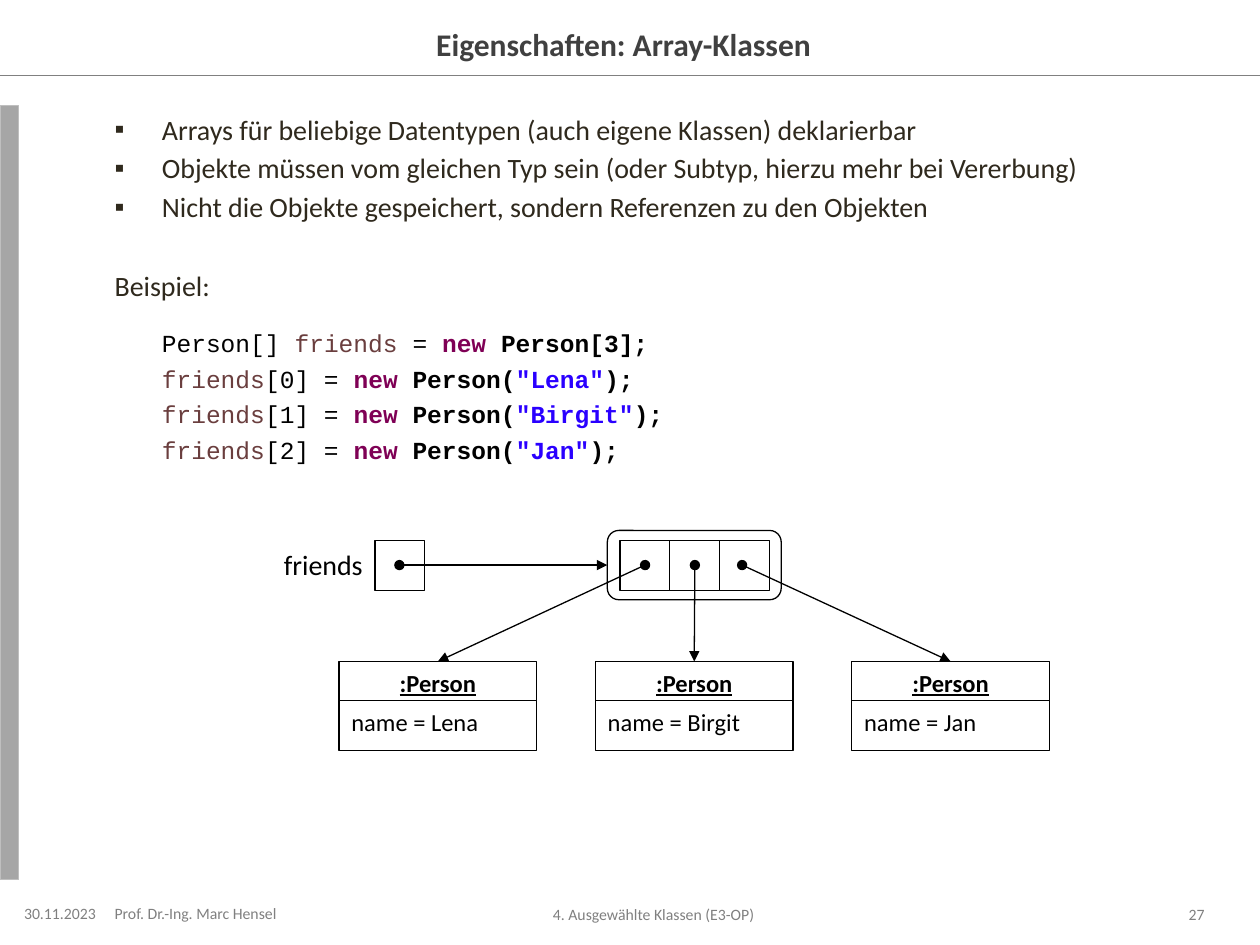
"""Build the slide on arrays of objects with a reference diagram."""
import dataclasses
import typing

import lxml.etree
import pptx
import pptx.dml.color
import pptx.enum.shapes
import pptx.enum.text
import pptx.oxml
import pptx.oxml.ns
import pptx.util

COLUMNS = 100
BLACK, WHITE, GREY = "000000", "FFFFFF", "808080"
VARIABLE, KEYWORD, STRING = "6A3E3E", "7F0055", "2A00FF"
SHAPES = pptx.enum.shapes.MSO_SHAPE
ALIGN = pptx.enum.text.PP_ALIGN
ANCHOR = pptx.enum.text.MSO_ANCHOR

presentation = pptx.Presentation()
presentation.slide_width = pptx.util.Inches(10)
presentation.slide_height = pptx.util.Inches(7.5)
slide = presentation.slides.add_slide(presentation.slide_layouts[1])


class Box(typing.NamedTuple):
    left: float
    top: float
    width: float
    height: float


class Token(typing.NamedTuple):
    text: str
    color: str = BLACK
    bold: bool = False
    underline: bool = False


@dataclasses.dataclass
class Style:
    size: float
    font: str = "Calibri"
    align: typing.Any = ALIGN.LEFT
    margin: float = 0
    hanging: float = 0
    before: float = 0


@dataclasses.dataclass
class Footer:
    text: str
    box: Box
    align: typing.Any
    margin_left: float = 0
    margin_right: float = 1


def grid(cells: float) -> int:
    """Convert grid cells, equal in both directions, to a length."""
    return round(presentation.slide_width * cells / COLUMNS)


def rgb(color: str):
    """Return the colour of a hex string."""
    return pptx.dml.color.RGBColor.from_string(color)


def apply(target, values: dict) -> None:
    """Set every attribute in a dict of format values."""
    for name, value in values.items():
        setattr(target, name, value)


def place(shape, box: Box) -> None:
    """Move a shape to a box on the grid."""
    apply(shape, {name: grid(cells) for name, cells in box._asdict().items()})


def set_frame(frame, anchor=ANCHOR.TOP, left: float = 0, right: float = 1) -> None:
    """Set wrapping, anchor and insets of a text frame."""
    apply(frame, {
        "auto_size": pptx.enum.text.MSO_AUTO_SIZE.NONE, "word_wrap": True, "vertical_anchor": anchor,
        "margin_left": grid(left), "margin_right": grid(right),
        "margin_top": grid(0.5), "margin_bottom": grid(0.5),
    })


def write(paragraph, tokens: list[Token], style: Style) -> None:
    """Fill a paragraph with formatted tokens, bulleted if it hangs."""
    apply(paragraph, {"alignment": style.align, "space_before": pptx.util.Pt(style.before)})
    properties = paragraph._p.get_or_add_pPr()
    properties.set("marL", str(grid(style.margin)))
    properties.set("indent", str(-grid(style.hanging)))
    if style.hanging:
        bullet = lxml.etree.SubElement(properties, pptx.oxml.ns.qn("a:buChar"))
        bullet.set("char", "▪")
    else:
        lxml.etree.SubElement(properties, pptx.oxml.ns.qn("a:buNone"))
    for token in tokens:
        run = paragraph.add_run()
        run.text = token.text
        apply(run.font, {"name": style.font, "size": pptx.util.Pt(style.size),
                         "bold": token.bold, "underline": token.underline})
        run.font.color.rgb = rgb(token.color)


def add_shape(kind, box: Box, fill: str | None = WHITE, line: str | None = BLACK):
    """Add a flat preset shape."""
    shape = slide.shapes.add_shape(kind, 0, 0, 0, 0)
    place(shape, box)
    shape.shadow.inherit = False
    if fill:
        shape.fill.solid()
        shape.fill.fore_color.rgb = rgb(fill)
    else:
        shape.fill.background()
    if line:
        shape.line.color.rgb = rgb(line)
        shape.line.width = pptx.util.Pt(0.75)
    else:
        shape.line.fill.background()
    return shape


def add_label(kind, box: Box, token: Token, style: Style, line: str | None = BLACK):
    """Add a shape with one line of text at its top."""
    shape = add_shape(kind, box, line=line)
    set_frame(shape.text_frame, left=1)
    write(shape.text_frame.paragraphs[0], [token], style)
    return shape


def add_line(start: tuple[float, float], end: tuple[float, float], color: str = BLACK):
    """Add a straight connector without shadow."""
    connector = slide.shapes.add_connector(
        pptx.enum.shapes.MSO_CONNECTOR.STRAIGHT, *map(grid, start + end))
    connector.line.color.rgb = rgb(color)
    connector.line.width = pptx.util.Pt(0.75)
    lxml.etree.SubElement(connector._element.spPr, pptx.oxml.ns.qn("a:effectLst"))
    return connector


def add_reference(start: tuple[float, float], target, site: int) -> None:
    """Draw a reference arrow from a dot to a connection site."""
    connector = add_line(start, start)
    connector.end_connect(target, site)
    line = connector.line._get_or_add_ln()
    for end, kind in (("a:headEnd", "oval"), ("a:tailEnd", "triangle")):
        lxml.etree.SubElement(line, pptx.oxml.ns.qn(end)).set("type", kind)


def assignment(index: int, name: str) -> list[Token]:
    """Return the code line that stores a new person."""
    return [Token("friends", VARIABLE), Token(f"[{index}] = "), Token("new", KEYWORD, True),
            Token(" Person(", bold=True), Token(f'"{name}"', STRING, True), Token(");", bold=True)]


def add_text(names: list[str]) -> None:
    """Fill the title and body placeholders."""
    title, body = slide.shapes.title, slide.placeholders[1]
    place(title, Box(12.4, 1.5, 75.2, 3.9))
    set_frame(title.text_frame, ANCHOR.MIDDLE)
    write(title.text_frame.paragraphs[0], [Token("Eigenschaften: Array-Klassen", "404040", True)],
          Style(18, align=ALIGN.CENTER))
    place(body, Box(9.1, 8.4, 86.6, 61.4))
    set_frame(body.text_frame)
    points = ["Arrays für beliebige Datentypen (auch eigene Klassen) deklarierbar",
              "Objekte müssen vom gleichen Typ sein (oder Subtyp, hierzu mehr bei Vererbung)",
              "Nicht die Objekte gespeichert, sondern Referenzen zu den Objekten"]
    declaration = [Token("Person[] "), Token("friends", VARIABLE), Token(" = "),
                   Token("new", KEYWORD, True), Token(" Person[3];", bold=True)]
    code = [declaration] + [assignment(index, name) for index, name in enumerate(names)]
    lines = [([Token(point, "2F291D")], Style(16, margin=3.75, hanging=3.75, before=3 if number else 0))
             for number, point in enumerate(points)]
    lines.append(([Token("Beispiel:", "2F291D")], Style(16, before=25.5)))
    lines += [(tokens, Style(14, "Courier New", margin=3.75, before=3.6 if number else 15))
              for number, tokens in enumerate(code)]
    for number, (tokens, style) in enumerate(lines):
        frame = body.text_frame
        write(frame.add_paragraph() if number else frame.paragraphs[0], tokens, style)


def add_diagram(names: list[str]) -> None:
    """Draw the variable, the array and the referenced objects."""
    cell, middle = 3.95, 44.85
    add_label(SHAPES.ROUNDED_RECTANGLE, Box(21.2, 42.6, 16.5, 7.1), Token("friends"), Style(16), None)
    add_shape(SHAPES.RECTANGLE, Box(29.75, 42.9, cell, cell))
    for index in range(len(names)):
        add_shape(SHAPES.RECTANGLE, Box(49.2 + index * cell, 42.9, cell, cell))
    array = add_shape(SHAPES.ROUNDED_RECTANGLE, Box(48.2, 42.1, 13.8, 5.5), fill=None)
    add_reference((31.7, middle), array, 1)
    for index, (name, start) in enumerate(zip(names, (51.2, 55.15, 58.9))):
        left = 26.9 + index * 20.35
        header = add_label(SHAPES.RECTANGLE, Box(left, 52.5, 15.7, 3.1),
                           Token(":Person", bold=True, underline=True), Style(14, align=ALIGN.CENTER))
        add_label(SHAPES.RECTANGLE, Box(left, 55.6, 15.7, 3.95), Token(f"name = {name}"), Style(14))
        add_reference((start, middle), header, 0)


def add_page_frame() -> None:
    """Draw the title rule, the side bar and the footer."""
    add_line((0, 6), (COLUMNS, 6), GREY)
    add_shape(SHAPES.RECTANGLE, Box(0, 8.4, 1.5, 61.4), "A6A6A6", "BFBFBF")
    for footer in (
        Footer("30.11.2023", Box(1.5, 71.7, 7.5, 1.6), ALIGN.CENTER),
        Footer("Prof. Dr.-Ing. Marc Hensel", Box(9.1, 71.7, 15, 1.5), ALIGN.LEFT),
        Footer("4. Ausgewählte Klassen (E3-OP)", Box(24.8, 71.8, 55.1, 1.5), ALIGN.CENTER),
        Footer("27", Box(89.2, 71.8, 6.4, 1.5), ALIGN.RIGHT, 1, 0),
    ):
        text_box = slide.shapes.add_textbox(0, 0, 0, 0)
        place(text_box, footer.box)
        set_frame(text_box.text_frame, ANCHOR.MIDDLE, footer.margin_left, footer.margin_right)
        write(text_box.text_frame.paragraphs[0], [Token(footer.text, GREY)], Style(9, align=footer.align))


if __name__ == "__main__":
    friends = ["Lena", "Birgit", "Jan"]
    add_page_frame()
    add_text(friends)
    add_diagram(friends)
    presentation.save("out.pptx")
